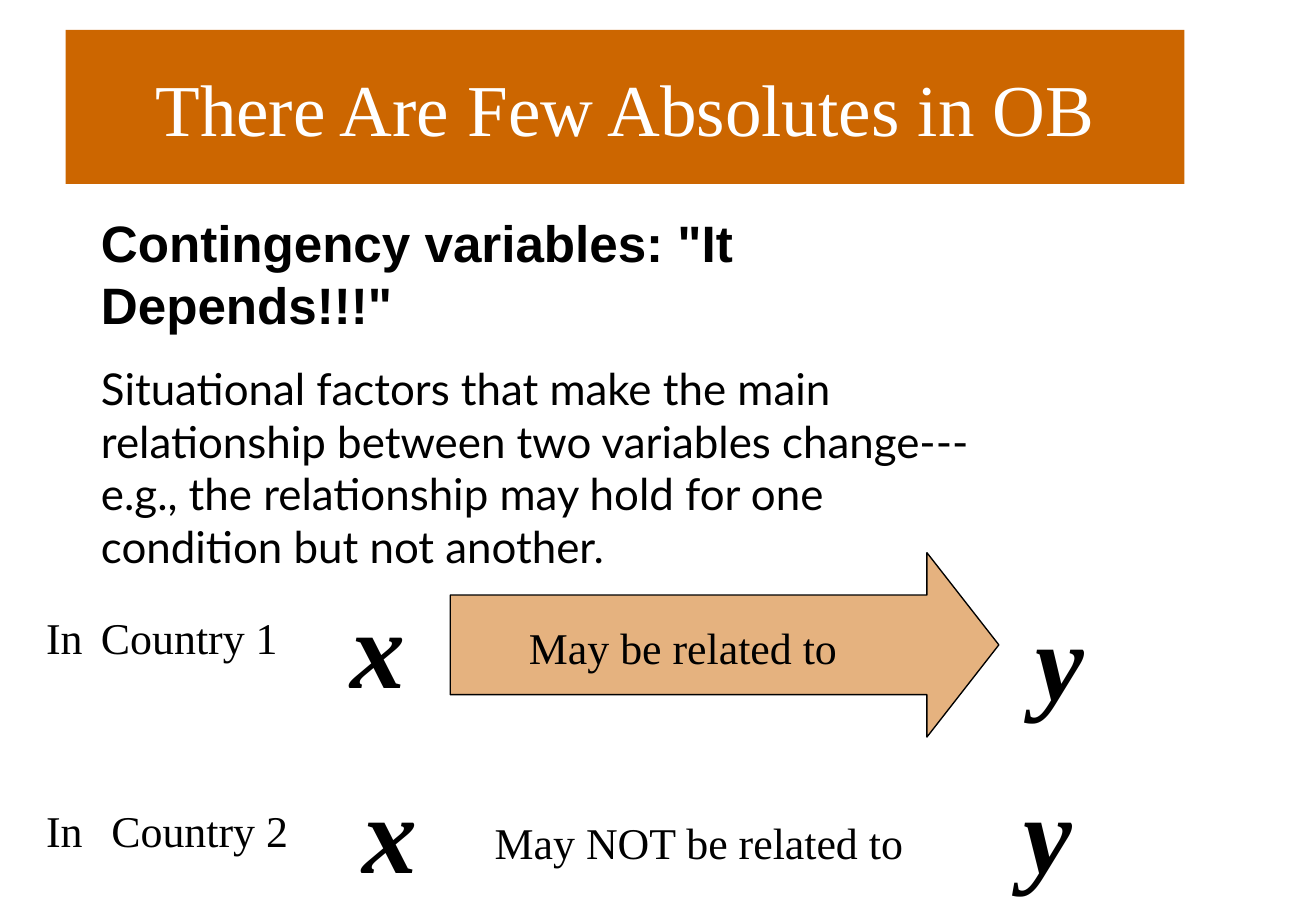
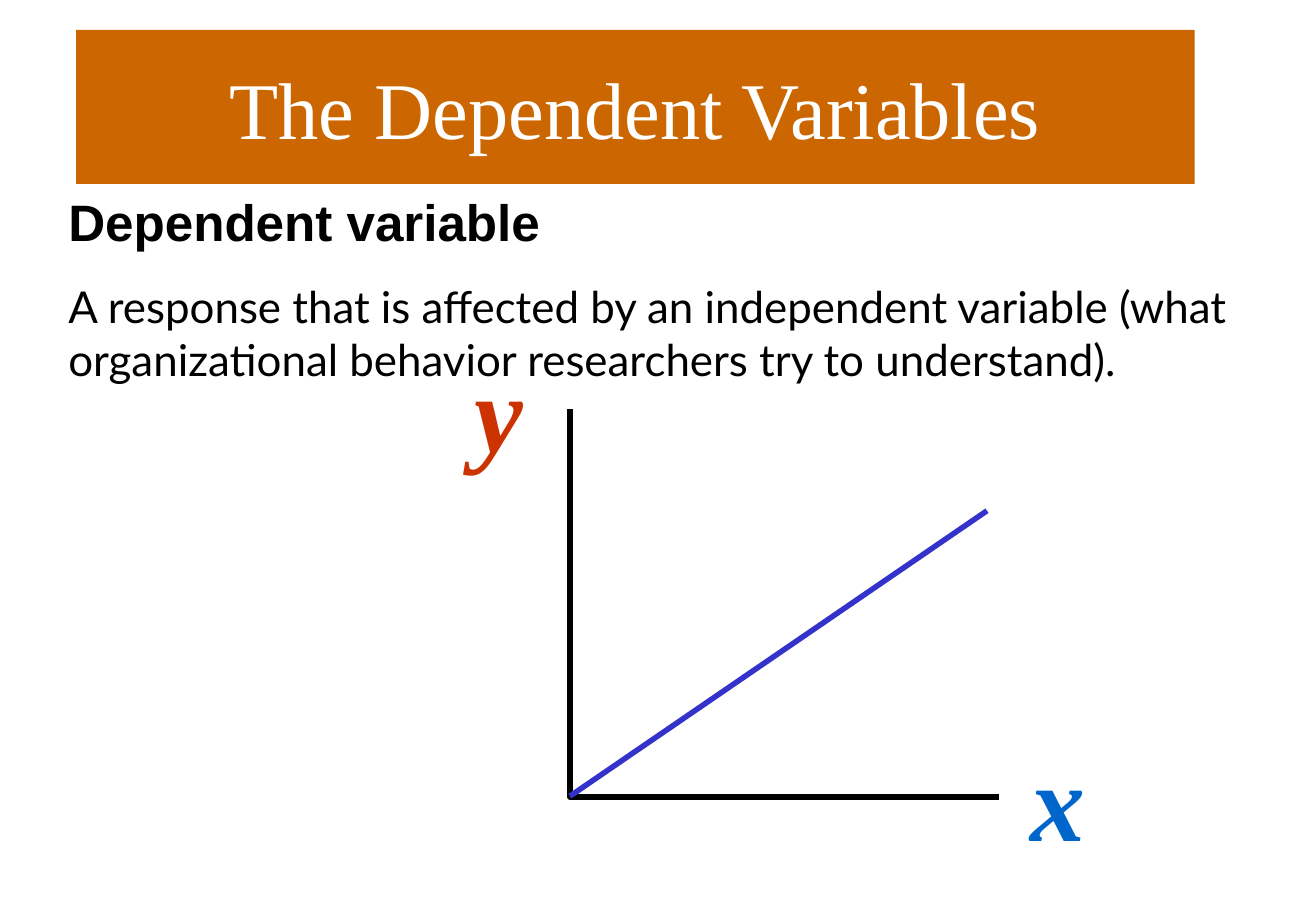
import pptx
import pptx.util
import pptx.dml.color
import pptx.enum.shapes
import pptx.enum.text
import pptx.oxml
import pptx.oxml.ns

Cm, Pt = pptx.util.Cm, pptx.util.Pt
SHAPE = pptx.enum.shapes.MSO_SHAPE
ALIGN = pptx.enum.text.PP_ALIGN
ANCHOR = pptx.enum.text.MSO_ANCHOR

COLORS = {"band": "CC6600", "white": "FFFFFF", "black": "000000",
          "x": "0066CC", "y": "CC3300", "trend": "3333CC"}

# Text styles: font, paragraph and colour
SERIF, SANS, BODY = "Times New Roman", "Arial", "Lato"
STYLES = {
    "title": ({"name": SERIF}, {"alignment": ALIGN.CENTER}, "white"),
    "heading": ({"name": SANS, "size": Pt(28), "bold": True},
                {"line_spacing": Pt(33.6)}, "black"),
    "body": ({"name": BODY, "size": Pt(24)}, {"space_before": Pt(15)}, "black"),
    "label": ({"name": SERIF, "size": Pt(24)}, {}, "black"),
    "variable": ({"name": SERIF, "size": Pt(60), "bold": True, "italic": True},
                 {"alignment": ALIGN.CENTER}, "black"),
}

# Content: title, title size, band left; heading, body, text box (cm)
SLIDES = [
    ("There Are Few Absolutes in OB", 40, 1.27,
     'Contingency variables: "It Depends!!!"',
     "Situational factors that make the main relationship between two variables "
     "change---e.g., the relationship may hold for one condition but not another.",
     (1.7, 3.96, 17.98, 7.21)),
    ("The Dependent Variables", 44, 1.47,
     "Dependent variable",
     "A response that is affected by an independent variable (what organizational "
     "behavior researchers try to understand).",
     (1.07, 3.56, 23.37, 5.03)),
]
# Labels and variables: text, left, top, width
LABELS = [
    ("In", 0.64, 11.66, 2.54), ("Country 1", 1.7, 11.66, 4.24),
    ("May be related to", 9.96, 11.86, 7.82),
    ("In", 0.64, 15.39, 2.54), ("Country 2", 1.9, 15.39, 4.24),
    ("May NOT be related to", 9.3, 15.62, 9.32),
]
# Variables: text, left, top, colour
COUNTRY_VARIABLES = [("x", 6.12, 11.05, "black"), ("y", 19.28, 11.28, "black"),
                     ("x", 6.35, 14.63, "black"), ("y", 19.05, 14.63, "black")]
AXIS_VARIABLES = [("x", 19.25, 14, "x"), ("y", 8.46, 6.5, "y")]
ARROW = (8.69, 10.67, 10.59, 3.56)
AXES = [(11, 7.9), (11, 15.39), (19.28, 15.39)]
TREND = (11, 15.37, 19.05, 9.86)


def rgb(key):
    return pptx.dml.color.RGBColor.from_string(COLORS[key])


def cm(values):
    return [Cm(v) for v in values]


def apply(target, values):
    for name, value in values.items():
        setattr(target, name, value)


def write(p, text, style, color=None, **extra):
    font, para, default = STYLES[style]
    apply(p, para)
    r = p.add_run()
    r.text = text
    apply(r.font, {**font, **extra})
    r.font.color.rgb = rgb(color or default)


def add_text(slide, box, *parts):
    tf = slide.shapes.add_textbox(*cm(box)).text_frame
    tf.word_wrap = True
    for i, part in enumerate(parts):
        write(tf.add_paragraph() if i else tf.paragraphs[0], *part)


def add_band(slide, title, size, left):
    sp = slide.shapes.add_shape(SHAPE.RECTANGLE, *cm((left, 0.58, 21.59, 2.97)))
    sp.shadow.inherit = False
    sp.fill.solid()
    sp.fill.fore_color.rgb = rgb("band")
    sp.line.fill.background()
    sp.text_frame.word_wrap = True
    sp.text_frame.vertical_anchor = ANCHOR.MIDDLE
    write(sp.text_frame.paragraphs[0], title, "title", size=Pt(size))


def add_variables(slide, variables):
    for text, left, top, color in variables:
        add_text(slide, (left, top, 2.34, 2.79), (text, "variable", color))


def set_line(sp, color, width):
    sp.line.color.rgb = rgb(color)
    sp.line.width = Pt(width)


def add_relation(slide):
    # Half-transparent arrow behind the relation label
    sp = slide.shapes.add_shape(SHAPE.RIGHT_ARROW, *cm(ARROW))
    sp.adjustments[0], sp.adjustments[1] = 0.54, 0.39
    sp.shadow.inherit = False
    sp.fill.solid()
    sp.fill.fore_color.rgb = rgb("band")
    clr = sp.fill._xPr.find(".//" + pptx.oxml.ns.qn("a:srgbClr"))
    clr.append(pptx.oxml.parse_xml(
        f'<a:alpha {pptx.oxml.ns.nsdecls("a")} val="50000"/>'))
    set_line(sp, "black", 0.75)
    for text, left, top, width in LABELS:
        add_text(slide, (left, top, width, 1.27), (text, "label"))
    add_variables(slide, COUNTRY_VARIABLES)


def add_graph(slide):
    # Axes as one open outline
    start, *rest = [tuple(cm(point)) for point in AXES]
    builder = slide.shapes.build_freeform(*start)
    builder.add_line_segments(rest, close=False)
    sp = builder.convert_to_shape()
    sp.shadow.inherit = False
    sp.fill.background()
    set_line(sp, "black", 3)
    add_variables(slide, AXIS_VARIABLES)
    # Rising trend
    line = slide.shapes.add_connector(
        pptx.enum.shapes.MSO_CONNECTOR.STRAIGHT, *cm(TREND))
    line._element.spPr.append(pptx.oxml.parse_xml(
        f'<a:effectLst {pptx.oxml.ns.nsdecls("a")}/>'))
    set_line(line, "trend", 3)


def main():
    prs = pptx.Presentation()
    prs.slide_width, prs.slide_height = cm((25.4, 17.78))
    for content, draw in zip(SLIDES, (add_relation, add_graph)):
        title, size, left, heading, body, box = content
        slide = prs.slides.add_slide(prs.slide_layouts[6])
        add_band(slide, title, size, left)
        draw(slide)
        add_text(slide, box, (heading, "heading"), (body, "body"))
    prs.save("out.pptx")


if __name__ == "__main__":
    main()
